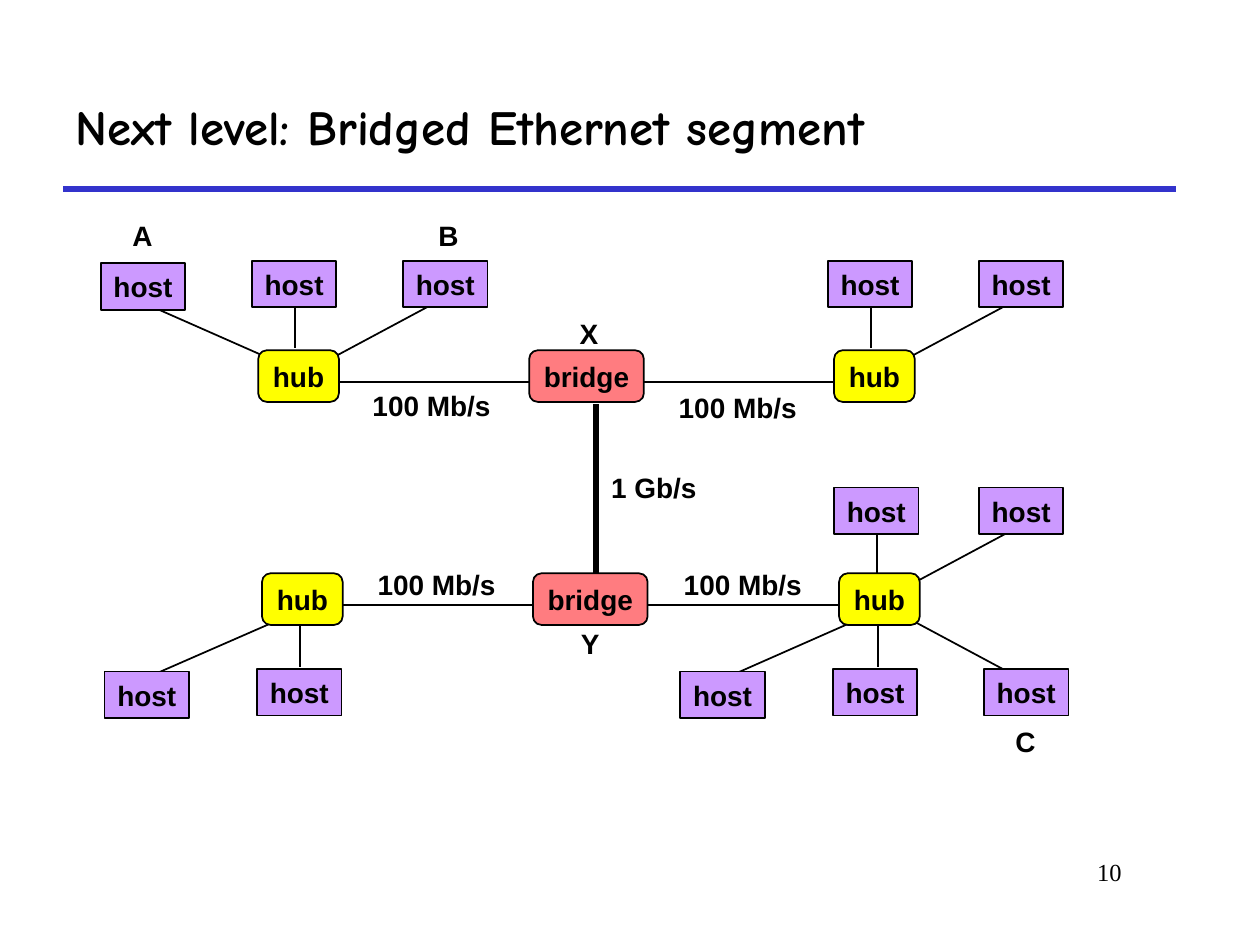
from typing import NamedTuple

from lxml.etree import SubElement
from pptx import Presentation
from pptx.dml.color import RGBColor
from pptx.enum.shapes import MSO_CONNECTOR, MSO_SHAPE
from pptx.enum.text import MSO_ANCHOR, MSO_AUTO_SIZE, PP_ALIGN
from pptx.oxml.ns import qn
from pptx.util import Inches, Pt

BLACK = "000000"
LABEL_HEIGHT = 0.37


class Device(NamedTuple):
    name: str
    outline: MSO_SHAPE
    width: float
    height: float
    fill: str
    places: list[tuple[float, float]]


class Label(NamedTuple):
    text: str
    left: float
    top: float
    width: float


class Link(NamedTuple):
    x1: float
    y1: float
    x2: float
    y2: float
    weight: float = 1
    color: str = BLACK


DEVICES = [
    Device("host", MSO_SHAPE.RECTANGLE, 0.67, 0.37, "CC99FF", [
        (0.8, 2.09), (2, 2.07), (3.2, 2.07), (6.57, 2.07), (7.77, 2.07),
        (6.62, 3.87), (7.77, 3.87),
        (0.83, 5.33), (2.04, 5.31), (5.4, 5.33), (6.61, 5.31), (7.81, 5.31)]),
    Device("hub", MSO_SHAPE.ROUNDED_RECTANGLE, 0.64, 0.41, "FFFF00", [
        (2.05, 2.78), (6.62, 2.78), (2.08, 4.55), (6.66, 4.55)]),
    Device("bridge", MSO_SHAPE.ROUNDED_RECTANGLE, 0.91, 0.41, "FF7C80", [
        (4.2, 2.78), (4.23, 4.55)]),
]

LINKS = [
    # Upper hubs to their hosts
    Link(1.13, 2.4, 2.15, 2.85), Link(2.34, 2.4, 2.34, 2.76),
    Link(3.46, 2.4, 2.62, 2.85),
    Link(6.91, 2.4, 6.91, 2.76), Link(8.03, 2.4, 7.19, 2.85),
    # Lower hubs to their hosts
    Link(2.19, 4.93, 1.16, 5.38), Link(2.38, 4.93, 2.38, 5.29),
    Link(6.96, 4.21, 6.96, 4.57), Link(8.03, 4.21, 7.19, 4.66),
    Link(6.78, 4.93, 5.76, 5.38), Link(6.97, 4.93, 6.97, 5.29),
    Link(7.25, 4.93, 8.09, 5.38),
    # Hubs to bridges
    Link(2.68, 3.03, 4.26, 3.03), Link(5.1, 3.03, 6.69, 3.03),
    Link(2.71, 4.8, 4.3, 4.8), Link(5.14, 4.8, 6.72, 4.8),
    # Backbone between the bridges
    Link(4.73, 3.21, 4.73, 4.57, weight=3),
]

LABELS = [
    Label("100 Mb/s", 2.86, 3.03, 1.13), Label("100 Mb/s", 5.29, 3.05, 1.13),
    Label("100 Mb/s", 2.9, 4.45, 1.13), Label("100 Mb/s", 5.33, 4.45, 1.13),
    Label("1 Gb/s", 4.75, 3.68, 0.88),
    Label("A", 0.95, 1.68, 0.36), Label("B", 3.38, 1.68, 0.36),
    Label("C", 7.96, 5.7, 0.36),
    Label("X", 4.5, 2.46, 0.35), Label("Y", 4.51, 4.92, 0.35),
]


def rgb(color: str) -> RGBColor:
    return RGBColor.from_string(color)


def write(shape, text: str, *, font="Arial", size=16, bold=True,
          align=PP_ALIGN.CENTER, anchor=MSO_ANCHOR.MIDDLE,
          wrap=False, side_margin=0) -> None:
    frame = shape.text_frame
    frame.word_wrap = wrap
    frame.auto_size = MSO_AUTO_SIZE.NONE
    frame.margin_left = frame.margin_right = Inches(side_margin)
    frame.vertical_anchor = anchor
    paragraph = frame.paragraphs[0]
    paragraph.alignment = align
    run = paragraph.add_run()
    run.text = text
    run.font.name = font
    run.font.size = Pt(size)
    run.font.bold = bold
    run.font.color.rgb = rgb(BLACK)


def add_text(slide, text: str, left: float, top: float, width: float,
             height: float, **text_format) -> None:
    box = slide.shapes.add_textbox(
        Inches(left), Inches(top), Inches(width), Inches(height))
    write(box, text, **text_format)


def draw_link(slide, link: Link) -> None:
    line = slide.shapes.add_connector(
        MSO_CONNECTOR.STRAIGHT, Inches(link.x1), Inches(link.y1),
        Inches(link.x2), Inches(link.y2))
    line.line.color.rgb = rgb(link.color)
    line.line.width = Pt(link.weight)
    SubElement(line._element.spPr, qn("a:effectLst"))


def draw_device(slide, device: Device) -> None:
    for left, top in device.places:
        shape = slide.shapes.add_shape(
            device.outline, Inches(left), Inches(top),
            Inches(device.width), Inches(device.height))
        shape.shadow.inherit = False
        shape.fill.solid()
        shape.fill.fore_color.rgb = rgb(device.fill)
        shape.line.color.rgb = rgb(BLACK)
        shape.line.width = Pt(1)
        write(shape, device.name)


def main() -> None:
    deck = Presentation()
    deck.slide_width, deck.slide_height = Inches(10), Inches(7.5)
    slide = deck.slides.add_slide(deck.slide_layouts[6])

    # Title, rule and page number
    draw_link(slide, Link(0.5, 1.5, 9.33, 1.5, weight=3, color="3333CC"))
    add_text(slide, "Next level: Bridged Ethernet segment", 0.5, 0.5, 8.83, 1,
             font="Comic Neue", size=28, align=PP_ALIGN.LEFT,
             wrap=True, side_margin=0.1)
    add_text(slide, "10", 7.58, 6.75, 1.42, 0.5, font="Times New Roman",
             size=14, bold=False, align=PP_ALIGN.RIGHT,
             anchor=MSO_ANCHOR.TOP, wrap=True, side_margin=0.1)

    # Network: links lie behind the devices
    for link in LINKS:
        draw_link(slide, link)
    for device in DEVICES:
        draw_device(slide, device)
    for label in LABELS:
        add_text(slide, label.text, label.left, label.top, label.width, LABEL_HEIGHT)

    deck.save("out.pptx")


if __name__ == "__main__":
    main()
